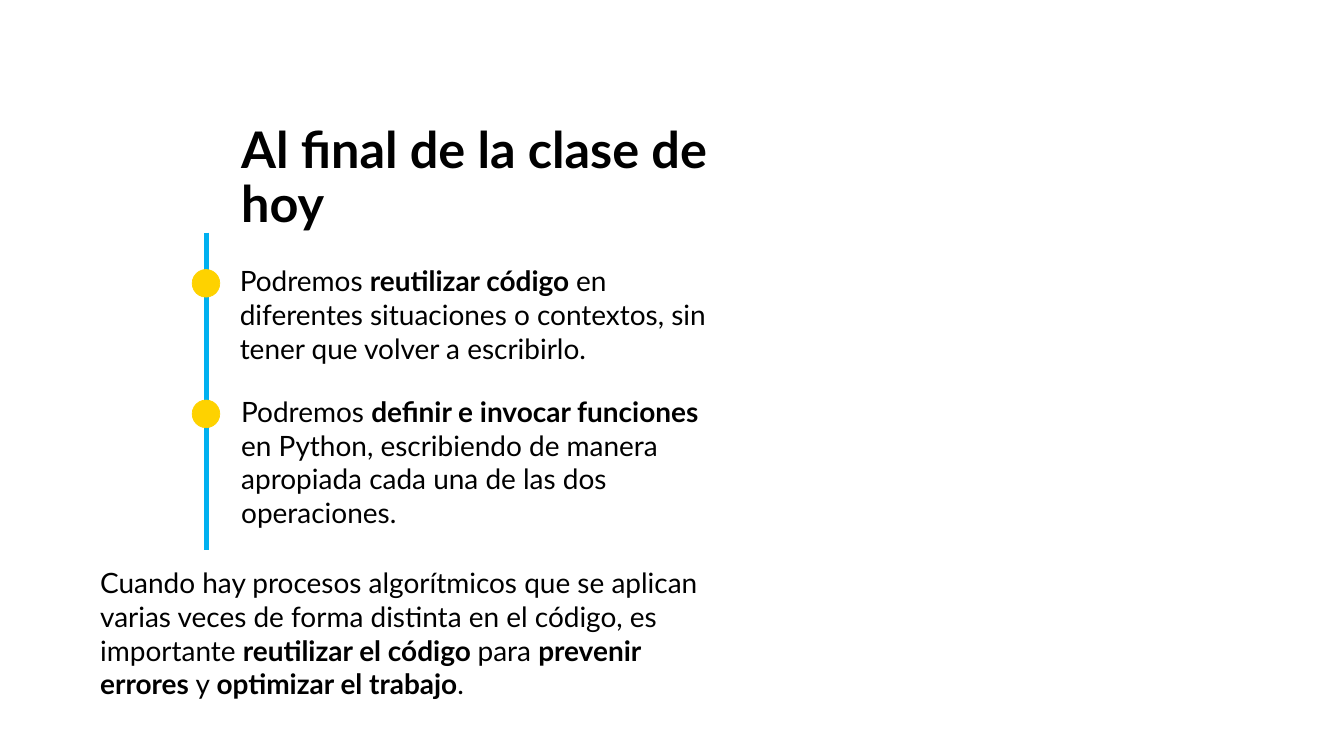
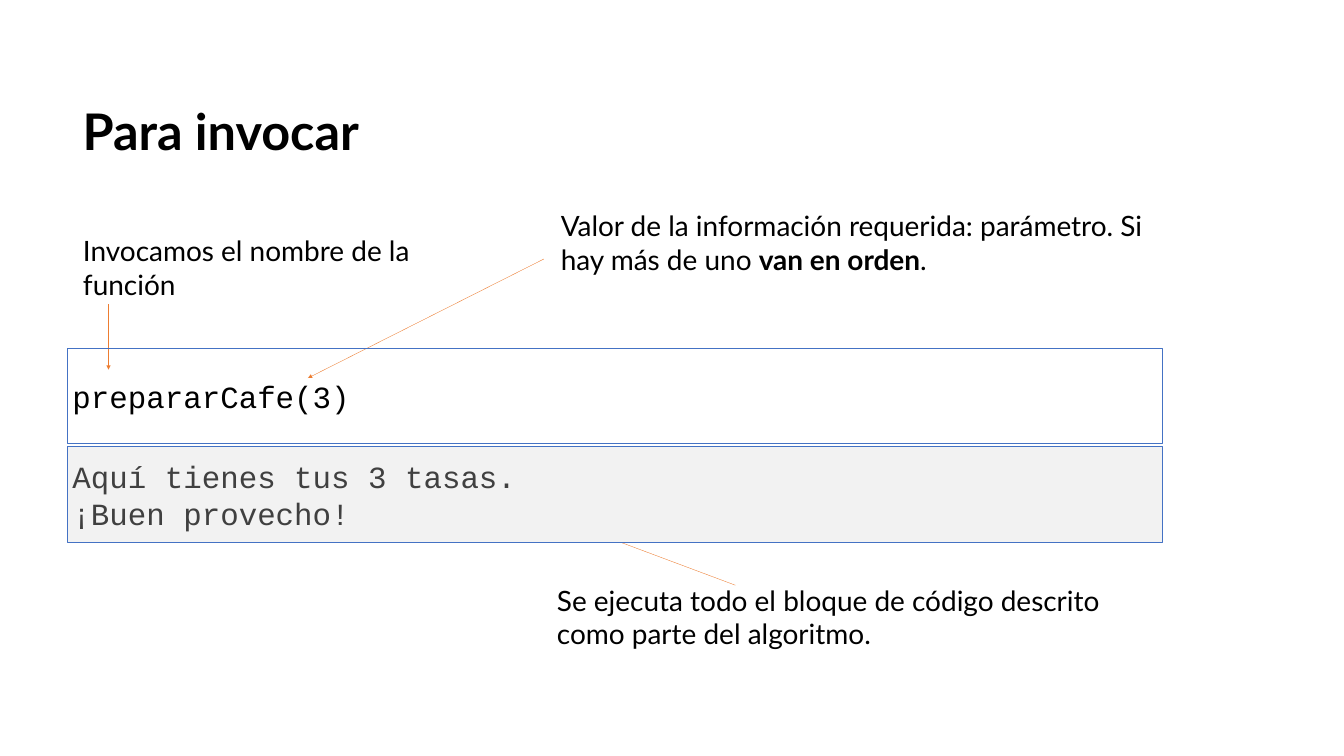
"""Build two slides on reusing code and calling functions in Python."""
from lxml import etree
from pptx import Presentation
from pptx.dml.color import RGBColor
from pptx.enum.shapes import MSO_CONNECTOR, MSO_SHAPE
from pptx.enum.text import MSO_ANCHOR, PP_ALIGN
from pptx.oxml.ns import qn
from pptx.util import Pt

STRAIGHT = MSO_CONNECTOR.STRAIGHT
OVAL, RECT = MSO_SHAPE.OVAL, MSO_SHAPE.RECTANGLE
TOP, MIDDLE = MSO_ANCHOR.TOP, MSO_ANCHOR.MIDDLE
LEFT = PP_ALIGN.LEFT

BLACK, GRAY, PALE = "000000", "404040", "F2F2F2"
CYAN, YELLOW, BLUE, ORANGE = "00B0F0", "FED200", "4472C4", "ED7D31"

TITLE = {"name": "Lato", "size": Pt(72), "bold": True}
BODY = {"name": "Lato", "size": Pt(40)}
CODE = {"name": "Courier New", "size": Pt(44)}


def rgb(color):
    return RGBColor.from_string(color)


def write(tf, text, fmt, color=BLACK, anchor=TOP, spacing=None):
    tf.word_wrap = True
    tf.vertical_anchor = anchor
    for i, line in enumerate(text.split("\n")):
        p = tf.add_paragraph() if i else tf.paragraphs[0]
        p.alignment = LEFT
        p.line_spacing = spacing
        for j, part in enumerate(line.split("**")):
            r = p.add_run()
            r.text = part
            r.font.color.rgb = rgb(color)
            for key, value in {"bold": j % 2 == 1, **fmt}.items():
                setattr(r.font, key, value)


prs = Presentation()
prs.slide_width, prs.slide_height = Pt(1920), Pt(1080)
goals, call = [prs.slides.add_slide(prs.slide_layouts[6]) for _ in range(2)]

titles = [
    (goals, (337.5, 175, 739.5, 80.5), "Al final de la clase de hoy", TOP),
    (call, (111, 146, 849.5, 90), "Para invocar", MIDDLE),
]
for s, box, text, anchor in titles:
    sp = s.shapes.add_textbox(*map(Pt, box))
    write(sp.text_frame, text, TITLE, anchor=anchor, spacing=0.9)

lines = [
    (goals, (295, 332.5, 295, 786), CYAN, 6.5, False),
    (call, (155, 435, 155, 528), ORANGE, 0.5, True),
    (call, (777, 370, 440, 540), ORANGE, 0.5, True),
    (call, (1050.5, 836, 788.5, 738), ORANGE, 0.5, True),
]
for s, ends, color, width, arrow in lines:
    sp = s.shapes.add_connector(STRAIGHT, *map(Pt, ends))
    sp.line.color.rgb = rgb(color)
    sp.line.width = Pt(width)
    if arrow:
        etree.SubElement(sp.line._get_or_add_ln(), qn("a:tailEnd"), type="triangle")
    etree.SubElement(sp._element.spPr, qn("a:effectLst"))

for y in (385, 571.5):
    sp = goals.shapes.add_shape(OVAL, Pt(274.5), Pt(y), Pt(39.5), Pt(39.5))
    sp.shadow.inherit = False
    sp.fill.solid()
    sp.fill.fore_color.rgb = rgb(YELLOW)
    sp.line.color.rgb = rgb(YELLOW)
    sp.line.width = Pt(1)

texts = [
    (goals, (335.5, 373.5, 703, 152.5),
     "Podremos **reutilizar código **en diferentes situaciones o contextos, "
     "sin tener que volver a escribirlo."),
    (goals, (337.5, 560, 703, 201),
     "Podremos **definir e invocar funciones **en Python, escribiendo de manera "
     "apropiada cada una de las dos operaciones."),
    (goals, (136, 805, 878.5, 201),
     "Cuando hay procesos algorítmicos que se aplican varias veces de forma "
     "distinta en el código, es importante **reutilizar el código **para "
     "**prevenir errores **y **optimizar el trabajo**."),
    (call, (111.5, 330, 482.5, 152.5), "Invocamos el nombre de la función"),
    (call, (794, 295, 849.5, 137),
     "Valor de la información requerida: parámetro. Si hay más de uno "
     "**van en orden**."),
    (call, (788.5, 829.5, 888, 104.5),
     "Se ejecuta todo el bloque de código descrito como parte del algoritmo."),
]
for s, box, text in texts:
    sp = s.shapes.add_textbox(*map(Pt, box))
    write(sp.text_frame, text, BODY)

panels = [
    (497, None, BLACK, "prepararCafe(3)"),
    (638, PALE, GRAY, "Aquí tienes tus 3 tasas.\n¡Buen provecho!"),
]
for y, fill, color, text in panels:
    sp = call.shapes.add_shape(RECT, Pt(96.5), Pt(y), Pt(1564.5), Pt(137))
    sp.shadow.inherit = False
    if fill:
        sp.fill.solid()
        sp.fill.fore_color.rgb = rgb(fill)
    else:
        sp.fill.background()
    sp.line.color.rgb = rgb(BLUE)
    sp.line.width = Pt(1)
    write(sp.text_frame, text, CODE, color, MIDDLE)

prs.save("out.pptx")
